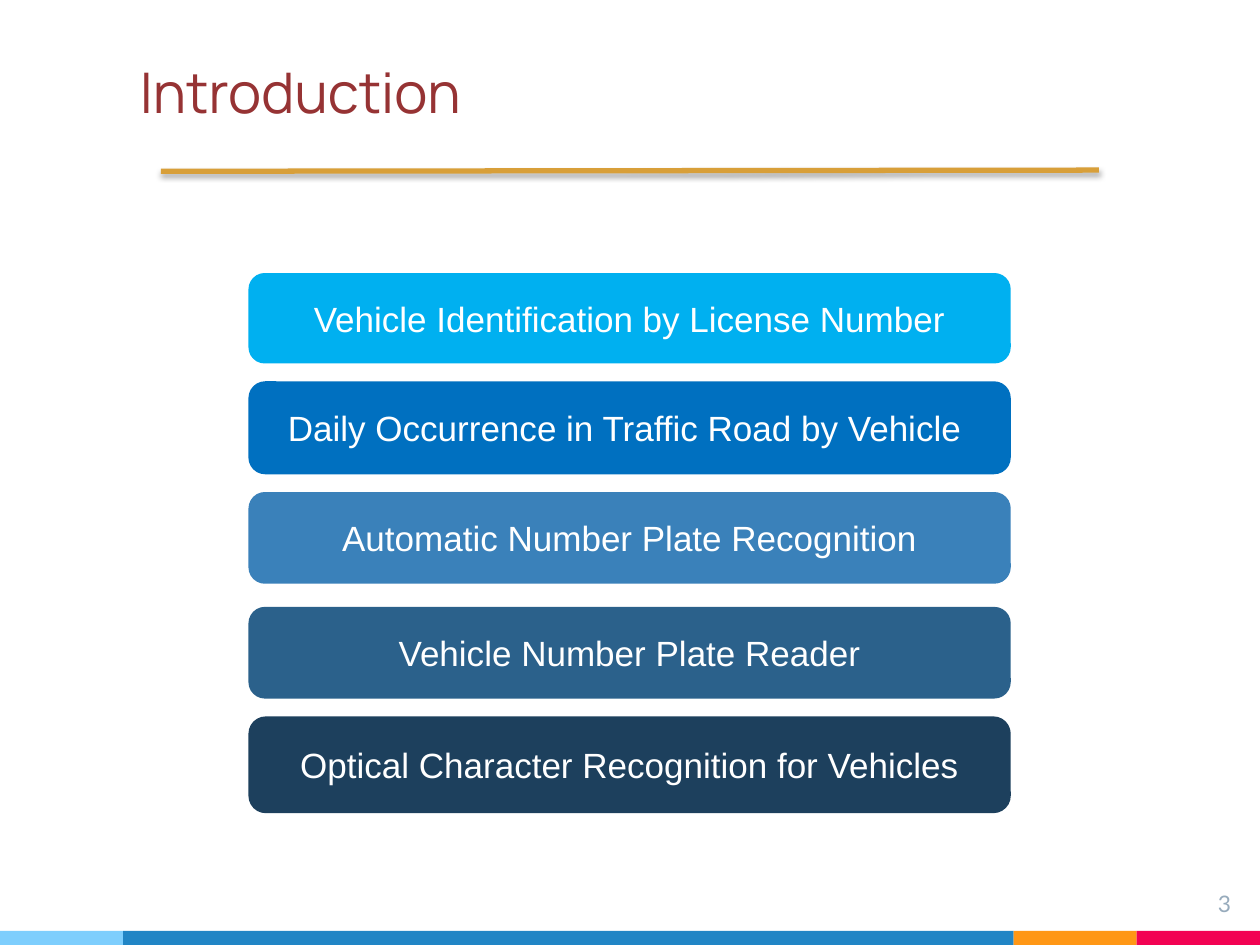
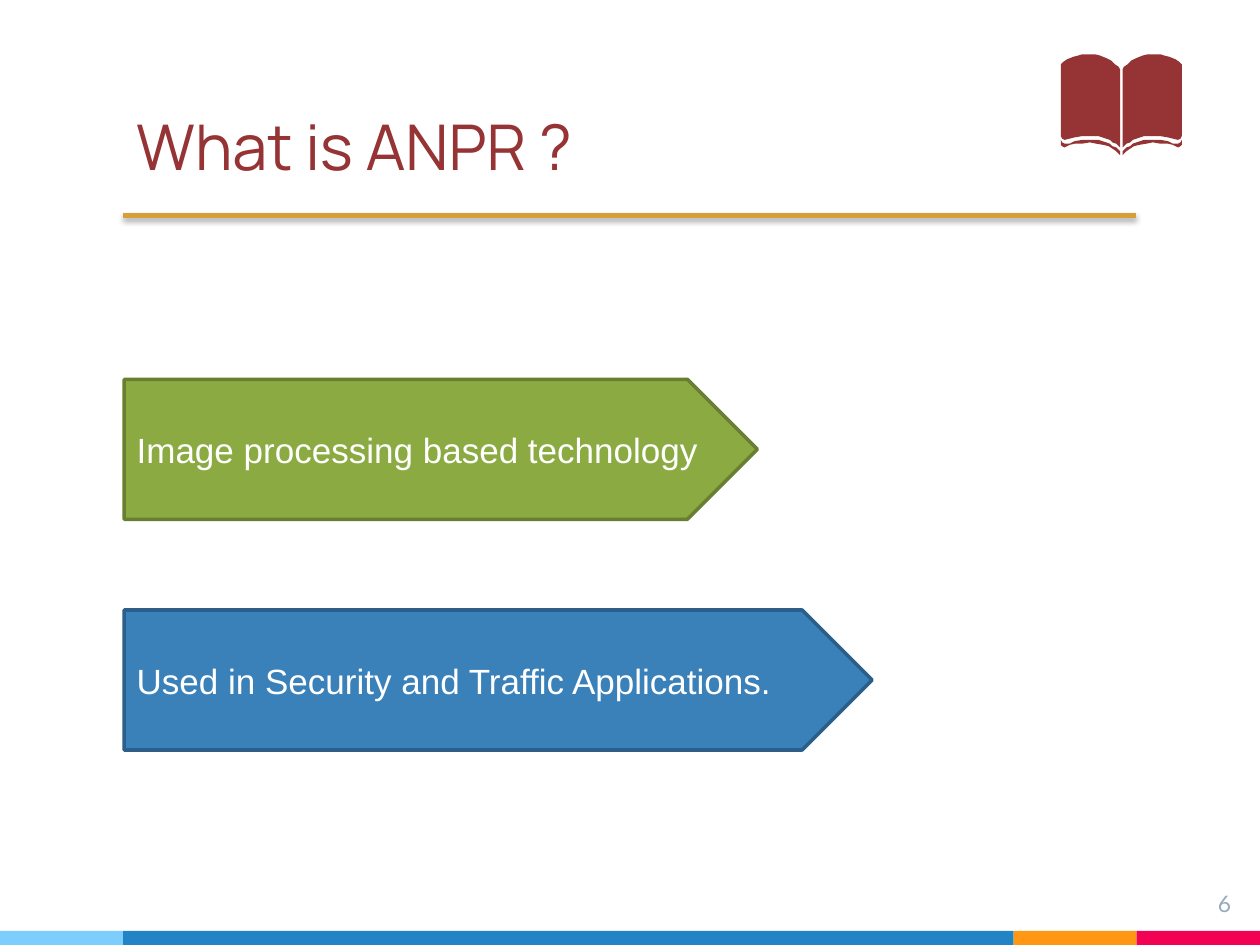
from lxml.etree import SubElement
from pptx import Presentation
from pptx.dml.color import RGBColor
from pptx.enum.shapes import MSO_CONNECTOR, MSO_SHAPE
from pptx.enum.text import MSO_ANCHOR, MSO_AUTO_SIZE, PP_ALIGN
from pptx.oxml.ns import qn
from pptx.util import Pt

COLORS = {
    "title": "963334", "rule": "D89F39", "shadow": "000000",
    "number": "97ABBC", "white": "FFFFFF",
    "sky": "7ECEFD", "blue": "2185C5", "orange": "FF9715", "pink": "F20253",
    "cyan": "00B0F0", "azure": "0070C0", "steel": "3A81BA",
    "denim": "2B618B", "navy": "1D405D", "steel edge": "2B5F8A",
    "green": "8BAB42", "green edge": "677F31",
}
SLIDE_WIDTH, SLIDE_HEIGHT = 720, 540
FOOTER_HEIGHT = 8
TITLE_ONLY = 5

FOOTER_BANDS = [("sky", 70.4), ("blue", 508.8), ("orange", 70.4), ("pink", 70.4)]

# text, colour, top and height relative to the list
TOPIC_BARS = [
    ("Vehicle Identification by License Number", "cyan", 0, 49.7),
    ("Daily Occurrence in Traffic Road by Vehicle ", "azure", 61.9, 51.1),
    ("Automatic Number Plate Recognition", "steel", 125.2, 50.4),
    ("Vehicle Number Plate Reader", "denim", 190.8, 50.4),
    ("Optical Character Recognition for Vehicles", "navy", 253.4, 53.3),
]

# text, fill, edge, width
ARROWS = [
    ("Image processing based technology", "green", "green edge", 361.8),
    ("Used in Security and Traffic Applications.", "steel", "steel edge", 427.4),
]

# Left half of the open book, on a grid 96 wide and 80 high
BOOK_GRID_WIDTH = 96
BOOK_PAGE = [
    (23, 0), (17, 0), (14, 1), (10, 2), (5, 4), (2, 6), (0, 8), (0, 65), (1, 67),
    (3, 68), (7, 67), (11, 66), (17, 65), (23, 65), (30, 65), (36, 67), (39, 68),
    (41, 70), (44, 71), (47, 74), (47, 12), (46, 10), (43, 8), (40, 5), (36, 3),
    (31, 1), (27, 0),
]
BOOK_EDGE = [
    (0, 68), (1, 70), (3, 71), (7, 71), (11, 69), (17, 68), (23, 68), (30, 68),
    (36, 70), (39, 71), (41, 73), (44, 74), (47, 77), (47, 80), (44, 77),
    (41, 75), (38, 73), (34, 72), (28, 71), (23, 70), (17, 71), (11, 71),
    (7, 72), (3, 74), (1, 73), (0, 72),
]


def color(name):
    return RGBColor.from_string(COLORS[name])


def points(*values):
    return [Pt(value) for value in values]


def write_text(shape, text, font="Arial", size=20, ink="white",
               align=PP_ALIGN.LEFT, anchor=MSO_ANCHOR.MIDDLE, inset=None):
    frame = shape.text_frame
    frame.word_wrap = True
    frame.auto_size = MSO_AUTO_SIZE.NONE
    frame.vertical_anchor = anchor
    if inset is not None:
        frame.margin_left = frame.margin_right = Pt(inset)
        frame.margin_top = frame.margin_bottom = Pt(inset)
    paragraph = frame.paragraphs[0]
    paragraph.alignment = align
    run = paragraph.add_run()
    run.text = text
    run.font.name = font
    run.font.size = Pt(size)
    run.font.color.rgb = color(ink)


def paint(shape, fill, edge=None):
    shape.shadow.inherit = False
    shape.fill.solid()
    shape.fill.fore_color.rgb = color(fill)
    if edge:
        shape.line.color.rgb = color(edge)
        shape.line.width = Pt(2)
    else:
        shape.line.fill.background()


def add_block(slide, kind, box, fill, edge=None):
    shape = slide.shapes.add_shape(kind, *points(*box))
    paint(shape, fill, edge)
    return shape


def add_footer_bands(slide, layout):
    """Draw the bands and move them to the layout, so every slide shows them."""
    left = 0
    for fill, width in FOOTER_BANDS:
        box = (left, SLIDE_HEIGHT - FOOTER_HEIGHT, width, FOOTER_HEIGHT)
        band = add_block(slide, MSO_SHAPE.RECTANGLE, box, fill)
        layout.shapes._spTree.append(band._element)
        left += width


def add_title(slide, text, box, size):
    title = slide.shapes.title
    title.left, title.top, title.width, title.height = points(*box)
    write_text(title, text, font="Manrope", size=size, ink="title",
               anchor=MSO_ANCHOR.BOTTOM, inset=7.2)


def add_number(slide, number):
    box = slide.shapes.add_textbox(*points(667.4, 501.1, 43.2, 33.1))
    write_text(box, str(number), font="Lato", size=13, ink="number",
               align=PP_ALIGN.RIGHT, anchor=MSO_ANCHOR.TOP, inset=7.2)


def add_rule(slide, start, end):
    rule = slide.shapes.add_connector(MSO_CONNECTOR.STRAIGHT, *points(*start, *end))
    rule.line.color.rgb = color("rule")
    rule.line.width = Pt(3)
    effects = SubElement(rule._element.spPr, qn("a:effectLst"))
    shadow = SubElement(effects, qn("a:outerShdw"), blurRad=str(Pt(3.1)),
                        dist=str(Pt(1.8)), dir="5400000", rotWithShape="0")
    ink = SubElement(shadow, qn("a:srgbClr"), val=COLORS["shadow"])
    SubElement(ink, qn("a:alpha"), val="35000")


def add_topic_bars(slide, left, top, width):
    for text, fill, offset, height in TOPIC_BARS:
        bar = add_block(slide, MSO_SHAPE.ROUNDED_RECTANGLE,
                        (left, top + offset, width, height), fill, fill)
        write_text(bar, text, align=PP_ALIGN.CENTER)


def add_arrows(slide, left, top, height, pitch):
    for row, (text, fill, edge, width) in enumerate(ARROWS):
        arrow = add_block(slide, MSO_SHAPE.PENTAGON,
                          (left, top + row * pitch, width, height), fill, edge)
        write_text(arrow, text)


def add_book(slide, left, top, width):
    """Draw each outline of the left half, then its mirror."""
    scale = Pt(width) / BOOK_GRID_WIDTH
    for outline in (BOOK_EDGE, BOOK_PAGE):
        mirrored = [(BOOK_GRID_WIDTH - x, y) for x, y in outline]
        for half in (outline, mirrored):
            builder = slide.shapes.build_freeform(*half[0], scale=scale)
            builder.add_line_segments(half[1:], close=True)
            paint(builder.convert_to_shape(*points(left, top)), "title")


def build_introduction(slide):
    add_title(slide, "Introduction", (72.7, 12.2, 509, 66.2), 32)
    add_number(slide, 3)
    add_rule(slide, (92, 97.9), (628, 97.2))
    add_topic_bars(slide, left=143, top=157, width=433.6)


def build_definition(slide):
    add_title(slide, "What is ANPR ?", (70.6, 21.6, 509, 90), 36)
    add_number(slide, 6)
    add_arrows(slide, left=71, top=216.8, height=80, pitch=131.8)
    add_rule(slide, (70.4, 123), (649, 123))
    add_book(slide, left=606.2, top=31, width=69.1)


def main():
    presentation = Presentation()
    presentation.slide_width, presentation.slide_height = points(SLIDE_WIDTH, SLIDE_HEIGHT)
    layout = presentation.slide_layouts[TITLE_ONLY]
    slides = [presentation.slides.add_slide(layout) for _ in range(2)]
    add_footer_bands(slides[0], layout)
    build_introduction(slides[0])
    build_definition(slides[1])
    presentation.save("out.pptx")


if __name__ == "__main__":
    main()
